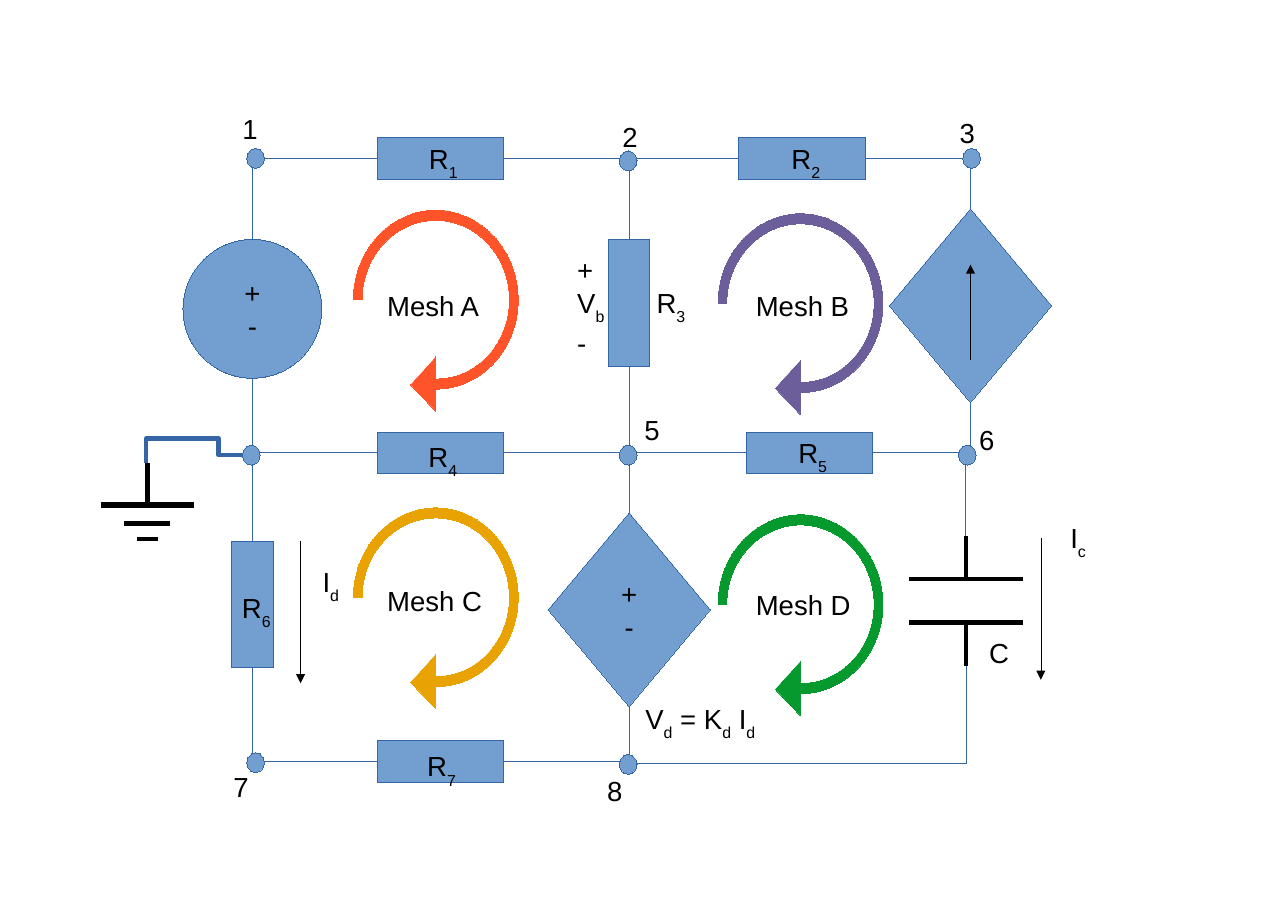
from math import cos, pi, sin, tan

from lxml.etree import SubElement
from pptx import Presentation
from pptx.dml.color import RGBColor
from pptx.enum.shapes import MSO_CONNECTOR, MSO_SHAPE
from pptx.enum.text import MSO_ANCHOR, PP_ALIGN
from pptx.oxml.ns import qn
from pptx.util import Cm, Pt

FILL_BLUE = RGBColor(0x72, 0x9F, 0xCF)
LINE_BLUE = RGBColor(0x34, 0x65, 0xA4)
BLACK = RGBColor(0x00, 0x00, 0x00)
RED = RGBColor(0xFF, 0x54, 0x29)
PURPLE = RGBColor(0x6B, 0x5E, 0x9B)
GOLD = RGBColor(0xE8, 0xA2, 0x02)
GREEN = RGBColor(0x06, 0x9A, 0x2E)

HAIRLINE = Pt(0)
THICK = Pt(2.83)
LEFT, MIDDLE, RIGHT, CAPACITOR_X = 5.82, 14.51, 22.38, 22.28
TOP, CENTRE, BOTTOM = 3.65, 10.44, 17.55
RESISTOR_LENGTH, RESISTOR_THICKNESS = 2.91, 0.96


def write_text(frame, lines, alignment=PP_ALIGN.LEFT):
    for index, line in enumerate(lines):
        paragraph = frame.paragraphs[0] if index == 0 else frame.add_paragraph()
        paragraph.alignment = alignment
        paragraph.font.name = "Arial"
        paragraph.font.size = Pt(18)
        paragraph.font.color.rgb = BLACK
        plain, *indexed = line.split("_")
        paragraph.add_run().text = plain
        for part in indexed:
            subscript = paragraph.add_run()
            subscript.text = part[0]
            subscript._r.get_or_add_rPr().set("baseline", "-33000")
            if part[1:]:
                paragraph.add_run().text = part[1:]


def style_line(line, color, width):
    line.color.rgb = color
    line._get_or_add_ln().set("w", str(int(width)))


def add_label(slide, left, top, *lines, width=1.5):
    box = slide.shapes.add_textbox(Cm(left), Cm(top), Cm(width), Cm(1.1 * len(lines)))
    box.text_frame.word_wrap = True
    write_text(box.text_frame, lines)


def add_line(slide, start, end, color=LINE_BLUE, width=HAIRLINE, arrow=False,
             kind=MSO_CONNECTOR.STRAIGHT):
    line = slide.shapes.add_connector(kind, *[Cm(value) for value in (*start, *end)])
    style_line(line.line, color, width)
    if arrow:
        SubElement(line.line._get_or_add_ln(), qn("a:tailEnd"), type="triangle")
    SubElement(line._element.spPr, qn("a:effectLst"))
    return line


def add_elbow(slide, start, end, preset="bentConnector2", adjustments=(), width=HAIRLINE):
    line = add_line(slide, start, end, width=width, kind=MSO_CONNECTOR.ELBOW)
    geometry = line._element.spPr.find(qn("a:prstGeom"))
    geometry.set("prst", preset)
    guides = geometry.find(qn("a:avLst"))
    for number, value in enumerate(adjustments, 1):
        SubElement(guides, qn("a:gd"), name=f"adj{number}", fmla=f"val {value}")
    return line


def add_block(slide, kind, left, top, width, height, lines=()):
    shape = slide.shapes.add_shape(kind, Cm(left), Cm(top), Cm(width), Cm(height))
    shape.shadow.inherit = False
    shape.fill.solid()
    shape.fill.fore_color.rgb = FILL_BLUE
    style_line(shape.line, LINE_BLUE, HAIRLINE)
    shape.text_frame.word_wrap = False
    shape.text_frame.vertical_anchor = MSO_ANCHOR.MIDDLE
    write_text(shape.text_frame, lines, PP_ALIGN.CENTER)
    return shape


def draw_wires(slide):
    first_end, first_start = 8.71, 8.71 + RESISTOR_LENGTH
    elbows = [
        ((first_end, TOP), (LEFT, 5.51)),
        ((first_end, CENTRE), (LEFT, 8.71)),
        ((MIDDLE + 0.18, 17.61), (CAPACITOR_X, 15.34)),
        ((17.22, CENTRE), (MIDDLE, 8.43)),
        ((17.04, TOP), (MIDDLE, 5.51)),
        ((first_start, CENTRE), (MIDDLE, 11.81)),
        ((first_start, TOP), (MIDDLE, 5.51)),
        ((19.95, TOP), (RIGHT, 4.8)),
        ((first_start, BOTTOM), (MIDDLE, 16.28)),
        ((first_end, CENTRE), (LEFT, 12.47)),
        ((first_end, BOTTOM), (LEFT, 15.37)),
    ]
    for start, end in elbows:
        add_elbow(slide, start, end)
    add_line(slide, (first_start, CENTRE), (17.22, CENTRE))
    add_line(slide, (20.12, CENTRE), (22.33, CENTRE))
    jog = add_elbow(slide, (20.79, 10.76), (23.86, 10.86), "bentConnector3", [38300])
    jog._element.spPr.find(qn("a:xfrm")).set("rot", "5400000")


def draw_resistor(slide, left, top, name, label_x, label_y, vertical=False):
    offset = (RESISTOR_LENGTH - RESISTOR_THICKNESS) / 2 if vertical else 0
    body = add_block(slide, MSO_SHAPE.RECTANGLE, left - offset, top + offset,
                     RESISTOR_LENGTH, RESISTOR_THICKNESS)
    body.rotation = 270 if vertical else 0
    add_label(slide, left + label_x, top + label_y, name)


def draw_sources(slide):
    add_block(slide, MSO_SHAPE.OVAL, LEFT - 1.6, 5.52, 3.2, 3.2, ["+", "-"])
    add_block(slide, MSO_SHAPE.DIAMOND, MIDDLE - 1.87, 11.82, 3.74, 4.47, ["+", "-"])
    add_block(slide, MSO_SHAPE.DIAMOND, RIGHT - 1.87, 4.81, 3.74, 4.47)
    add_line(slide, (RIGHT, 8.3), (RIGHT, 6.1), BLACK, arrow=True)


def draw_capacitor(slide, left, top, width, height):
    centre = left + width / 2
    for plate, lead in ((top + 1, top), (top + height - 1, top + height)):
        add_line(slide, (left, plate), (left + width, plate), BLACK, THICK)
        add_line(slide, (centre, lead), (centre, plate), BLACK, THICK)
    add_label(slide, left + 1.6, top + 2.19, "C")


def draw_ground(slide, centre, top):
    add_elbow(slide, (LEFT - 0.23, top - 0.18), (centre - 0.03, top),
              "bentConnector4", [24800, -211000], THICK)
    add_line(slide, (centre, top), (centre, top + 0.96), BLACK, THICK)
    for half_width, depth in ((1.07, 0.95), (1.07, 0.98), (0.53, 1.4), (0.25, 1.75)):
        add_line(slide, (centre - half_width, top + depth),
                 (centre + half_width, top + depth), BLACK, THICK)


def arc_curves(centre_x, centre_y, radius_x, radius_y, start, sweep, count=4):
    step = sweep / count
    reach = 4 / 3 * tan(step / 4)

    def place(angle, pull):
        return (centre_x + radius_x * (cos(angle) - pull * sin(angle)),
                centre_y + radius_y * (sin(angle) + pull * cos(angle)))

    for index in range(count):
        angle = start + index * step
        yield "cubicBezTo", [place(angle, reach), place(angle + step, -reach),
                             place(angle + step, 0)]


def draw_mesh(slide, left, top, name, color, label_x, label_y):
    width, height = 3.81, 4.14
    centre_x, centre_y = 1.9, 2.08
    head = [(centre_x, 4.65), (1.32, 4.04), (centre_x, 3.4)]
    commands = [
        ("moveTo", [(0, centre_y)]),
        *arc_curves(centre_x, centre_y, 1.9, 2.06, pi, 1.5 * pi),
        *[("lnTo", [point]) for point in head],
        ("lnTo", [(centre_x, centre_y + 1.83)]),
        *arc_curves(centre_x, centre_y, 1.7, 1.83, pi / 2, -1.5 * pi),
        ("close", []),
    ]
    right, bottom = Cm(left + width), Cm(top + height)
    builder = slide.shapes.build_freeform(Cm(left), Cm(top))
    builder.add_line_segments([(right, Cm(top)), (right, bottom), (Cm(left), bottom)])
    shape = builder.convert_to_shape()
    outline = next(shape._element.iter(qn("a:path")))
    for child in list(outline):
        outline.remove(child)
    for command, points in commands:
        element = SubElement(outline, qn(f"a:{command}"))
        for x, y in points:
            SubElement(element, qn("a:pt"), x=str(int(Cm(x))), y=str(int(Cm(y))))
    shape.shadow.inherit = False
    shape.fill.solid()
    shape.fill.fore_color.rgb = color
    style_line(shape.line, color, HAIRLINE)
    add_label(slide, left + label_x, top + label_y, name, width=2.9)


def draw_node(slide, centre_x, centre_y, name, label_x, label_y):
    add_block(slide, MSO_SHAPE.OVAL, centre_x - 0.2, centre_y - 0.23, 0.41, 0.46)
    if name:
        add_label(slide, centre_x + label_x, centre_y + label_y, name)


def draw_quantities(slide):
    add_label(slide, 13.06, 5.7, "+", "V_b", "-")
    add_label(slide, 14.63, 16.06, "V_d = K_d I_d", width=5.6)
    add_label(slide, 7.19, 12.9, "I_d")
    add_label(slide, 24.43, 11.89, "I_c")
    add_line(slide, (6.93, 12.47), (6.93, 15.75), BLACK, arrow=True)
    add_line(slide, (24, 12.4), (24, 15.67), BLACK, arrow=True)


def draw_circuit(slide):
    draw_wires(slide)
    draw_sources(slide)
    draw_resistor(slide, 8.71, 3.18, "R_1", 0.93, -0.04)
    draw_resistor(slide, 17.04, 3.18, "R_2", 0.96, -0.04)
    draw_resistor(slide, 14.03, 5.53, "R_3", 0.86, 0.93, vertical=True)
    draw_resistor(slide, 8.71, 9.96, "R_4", 0.92, 0.05)
    draw_resistor(slide, 17.22, 9.96, "R_5", 0.94, -0.04)
    draw_resistor(slide, 5.34, 12.47, "R_6", -0.01, 1.02, vertical=True)
    draw_resistor(slide, 8.7, 17.08, "R_7", 0.9, 0.07)
    draw_quantities(slide)
    draw_capacitor(slide, 20.96, 12.35, 2.64, 3)
    draw_ground(slide, 3.4, 10.67)
    draw_node(slide, 5.89, TOP, "1", -0.55, -1.19)
    draw_node(slide, 14.48, 3.71, "2", -0.38, -1.07)
    draw_node(slide, 22.4, TOP, "3", -0.52, -1.11)
    draw_node(slide, 5.79, 10.49, None, 0, 0)
    draw_node(slide, 14.48, 10.49, "5", 0.13, -1.09)
    draw_node(slide, 22.3, 10.49, "6", 0.03, -0.86)
    draw_node(slide, 5.89, 17.58, "7", -0.76, 0.05)
    draw_node(slide, 14.48, 17.62, "8", -0.73, 0.1)
    draw_mesh(slide, 8.15, 4.83, "Mesh A", RED, 0.53, 1.7)
    draw_mesh(slide, 16.56, 4.91, "Mesh B", PURPLE, 0.62, 1.62)
    draw_mesh(slide, 8.15, 11.69, "Mesh C", GOLD, 0.53, 1.65)
    draw_mesh(slide, 16.56, 11.85, "Mesh D", GREEN, 0.62, 1.59)


presentation = Presentation()
presentation.slide_width = Cm(29.7)
presentation.slide_height = Cm(21)
draw_circuit(presentation.slides.add_slide(presentation.slide_layouts[6]))
presentation.save("out.pptx")
